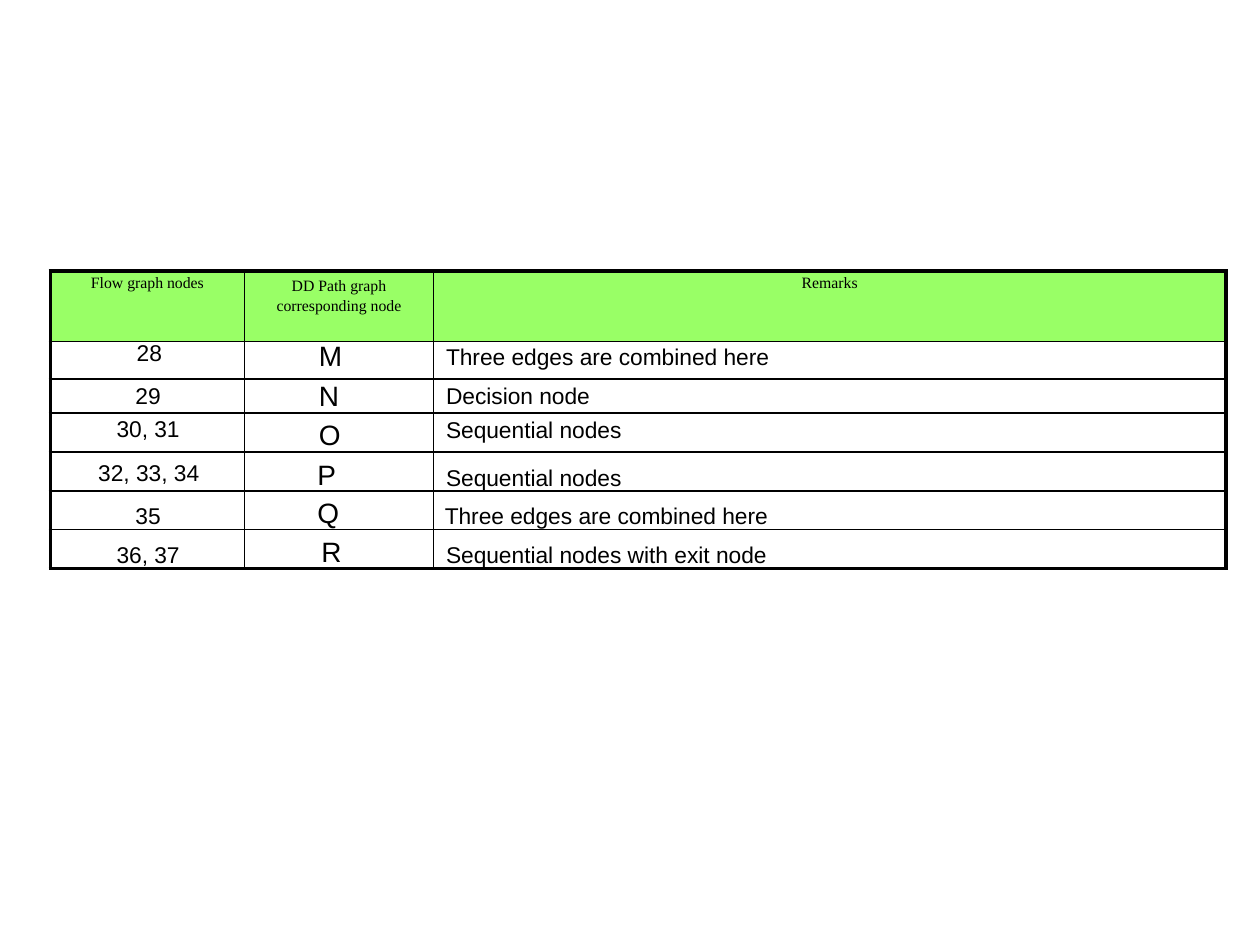
"""Build a slide with a table mapping flow graph nodes to DD path graph nodes."""
from pptx import Presentation
from pptx.dml.color import RGBColor
from pptx.enum.text import PP_ALIGN
from pptx.oxml import parse_xml
from pptx.oxml.ns import nsdecls
from pptx.util import Inches, Pt


def write(cell, text, size=13, font="Arial", align=PP_ALIGN.LEFT, top=0, indent=0,
          spacing=1, color="000000"):
    cell.margin_left = cell.margin_right = cell.margin_bottom = 0
    cell.margin_top = Inches(top)
    tf = cell.text_frame
    tf.text = text
    for p in tf.paragraphs:
        p.alignment = align
        p.line_spacing = spacing
        pPr = p._p.get_or_add_pPr()
        pPr.set("marL", str(Inches(indent)))
        pPr.set("indent", "0")
        for r in p.runs:
            r.font.size = Pt(size)
            r.font.name = font
            r.font.color.rgb = RGBColor.from_string(color)


def add_border(cell, side, width, color="000000"):
    cell._tc.get_or_add_tcPr().append(parse_xml(
        f'<a:ln{side} {nsdecls("a")} w="{Pt(width)}"><a:solidFill>'
        f'<a:srgbClr val="{color}"/></a:solidFill></a:ln{side}>'))


prs = Presentation()
prs.slide_width, prs.slide_height = Inches(10), Inches(7.5)
s = prs.slides.add_slide(prs.slide_layouts[6])

widths = [1.54, 1.5, 6.29]
heights = [0.56, 0.3, 0.27, 0.3, 0.3, 0.3, 0.3]
headers = ["Flow graph nodes", "DD Path graph\ncorresponding node", "Remarks"]
# Each body cell: text, top margin, indent, line spacing
rows = [
    [("28", 0, 0.03, 0.98), ("M", 0, 0.59, 0.99),
     ("Three edges are combined here", 0, 0.1, 1.13)],
    [("29", 0, 0.01, 1.18), ("N", 0, 0.59, 1.07), ("Decision node", 0, 0.1, 1.2)],
    [("30, 31", 0.03, 0.01, 1), ("O", 0.03, 0.59, 1.12),
     ("Sequential nodes", 0.04, 0.1, 1)],
    [("32, 33, 34", 0.07, 0.02, 1), ("P", 0.08, 0.58, 0.93),
     ("Sequential nodes", 0.12, 0.1, 0.94)],
    [("35", 0.08, 0.01, 1.13), ("Q", 0.05, 0.58, 1.03),
     ("Three edges are combined here", 0.09, 0.09, 1.07)],
    [("36, 37", 0.09, 0.01, 1.07), ("R", 0.08, 0.61, 0.92),
     ("Sequential nodes with exit node", 0.1, 0.1, 1.01)],
]
body_formats = [{"align": PP_ALIGN.CENTER}, {"size": 16}, {}]

table = s.shapes.add_table(len(heights), len(widths), Inches(0.4), Inches(2.15),
                           Inches(sum(widths)), Inches(sum(heights))).table
table.first_row = table.horz_banding = False
for column, width in zip(table.columns, widths):
    column.width = Inches(width)
for row, height in zip(table.rows, heights):
    row.height = Inches(height)

for j, text in enumerate(headers):
    write(table.cell(0, j), text, size=9, font="Times New Roman",
          align=PP_ALIGN.CENTER, top=0.03, spacing=1.16 if j == 1 else 1)
for i, row in enumerate(rows, 1):
    for j, (text, top, indent, spacing) in enumerate(row):
        write(table.cell(i, j), text, top=top, indent=indent, spacing=spacing,
              **body_formats[j])

last_row, last_col = len(heights) - 1, len(widths) - 1
for i in range(len(heights)):
    for j in range(len(widths)):
        cell = table.cell(i, j)
        outer = {"L": j == 0, "R": j == last_col, "T": i == 0, "B": i == last_row}
        for side, is_outer in outer.items():
            add_border(cell, side, 2.25 if is_outer else 1)
        if i == 0:
            cell.fill.solid()
            cell.fill.fore_color.rgb = RGBColor.from_string("99FF66")
        else:
            cell.fill.background()

prs.save("out.pptx")
